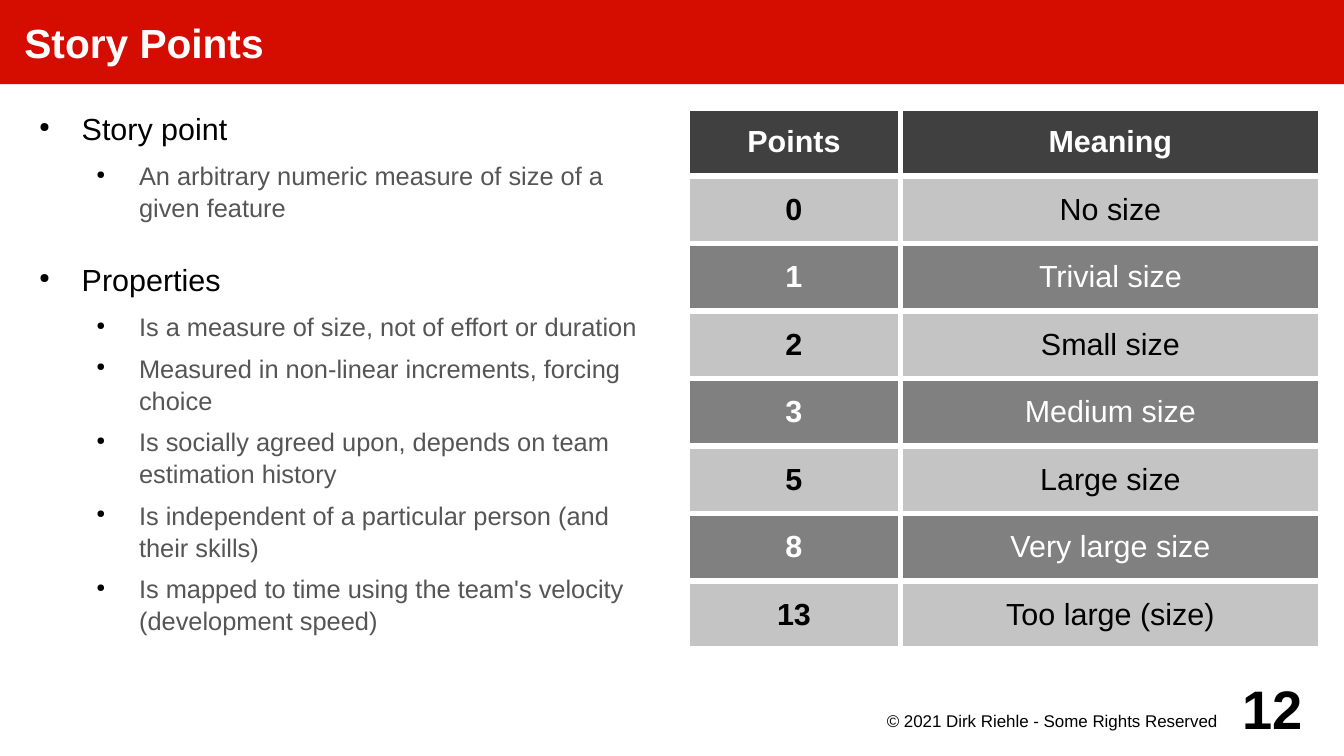
from lxml import etree
from pptx import Presentation
from pptx.dml.color import RGBColor
from pptx.enum.shapes import MSO_SHAPE
from pptx.enum.text import MSO_ANCHOR, PP_ALIGN
from pptx.oxml.ns import qn
from pptx.util import Inches, Pt

RECTANGLE = MSO_SHAPE.RECTANGLE
TOP, MIDDLE = MSO_ANCHOR.TOP, MSO_ANCHOR.MIDDLE
LEFT, CENTER = PP_ALIGN.LEFT, PP_ALIGN.CENTER

THEME = {
    "font": "Arial",
    "red": "D50D01", "white": "FFFFFF", "black": "000000", "text_gray": "555555",
    "header": "404040", "light_row": "C4C4C4", "dark_row": "808080",
    "title": 24, "topic": 18, "detail": 15, "table": 18, "footer": 10, "number": 32,
}


def style_paragraph(paragraph, size, color, bold=False, alignment=LEFT):
    paragraph.alignment = alignment
    paragraph.font.name = THEME["font"]
    paragraph.font.size = Pt(THEME[size])
    paragraph.font.bold = bold
    paragraph.font.color.rgb = RGBColor.from_string(THEME[color])


def set_frame(frame, anchor, left=0, top=0, right=0):
    frame.word_wrap = True
    frame.vertical_anchor = anchor
    frame.margin_left, frame.margin_top = Inches(left), Inches(top)
    frame.margin_right, frame.margin_bottom = Inches(right), Inches(0)


presentation = Presentation()
presentation.slide_width, presentation.slide_height = Inches(11.02), Inches(6.2)
slide = presentation.slides.add_slide(presentation.slide_layouts[6])

# Title bar
title = slide.shapes.add_shape(RECTANGLE, 0, 0, presentation.slide_width, Inches(0.69))
title.shadow.inherit = False
title.fill.solid()
title.fill.fore_color.rgb = RGBColor.from_string(THEME["red"])
title.line.fill.background()
set_frame(title.text_frame, MIDDLE, left=0.2)
title.text_frame.text = "Story Points"
style_paragraph(title.text_frame.paragraphs[0], "title", "white", bold=True)

# Bulleted outline: level and text
outline = [
    (0, "Story point"),
    (1, "An arbitrary numeric measure of size of a given feature"),
    (0, "Properties"),
    (1, "Is a measure of size, not of effort or duration"),
    (1, "Measured in non-linear increments, forcing choice"),
    (1, "Is socially agreed upon, depends on team estimation history"),
    (1, "Is independent of a particular person (and their skills)"),
    (1, "Is mapped to time using the team's velocity (development speed)"),
]
levels = [("topic", "black", 4.2), ("detail", "text_gray", 2.8)]
SECTION_GAP = 19

body = slide.shapes.add_textbox(Inches(0.2), Inches(0.89), Inches(5.19), Inches(4.53))
set_frame(body.text_frame, TOP)
for index, (level, text) in enumerate(outline):
    size, color, spacing = levels[level]
    paragraph = body.text_frame.paragraphs[0] if index == 0 else body.text_frame.add_paragraph()
    paragraph.text = text
    paragraph.level = level
    paragraph.line_spacing = 1.05
    paragraph.space_after = Pt(spacing)
    if index > 0:
        paragraph.space_before = Pt(SECTION_GAP if level == 0 else spacing)
    properties = paragraph._p.get_or_add_pPr()
    properties.set("marL", str(Inches(0.47 * (level + 1))))
    properties.set("indent", str(Inches(-0.35)))
    bullet_color = etree.SubElement(properties, qn("a:buClr"))
    etree.SubElement(bullet_color, qn("a:srgbClr"), val=THEME["black"])
    etree.SubElement(properties, qn("a:buSzPct"), val="45000")
    etree.SubElement(properties, qn("a:buChar"), char="●")
    style_paragraph(paragraph, size, color)

# Table of points
rows = [
    ("Points", "Meaning"),
    ("0", "No size"),
    ("1", "Trivial size"),
    ("2", "Small size"),
    ("3", "Medium size"),
    ("5", "Large size"),
    ("8", "Very large size"),
    ("13", "Too large (size)"),
]
table = slide.shapes.add_table(
    len(rows), 2, Inches(5.64), Inches(0.89), Inches(5.19), Inches(4.43)).table
table.columns[0].width, table.columns[1].width = Inches(1.74), Inches(3.45)
for row_index, row in enumerate(rows):
    if row_index == 0:
        fill, color = "header", "white"
    elif row_index % 2:
        fill, color = "light_row", "black"
    else:
        fill, color = "dark_row", "white"
    for column_index, text in enumerate(row):
        cell = table.cell(row_index, column_index)
        cell.text = text
        cell.vertical_anchor = MIDDLE
        cell.margin_left = cell.margin_right = Inches(0.08)
        cell.margin_top = cell.margin_bottom = Inches(0.05)
        bold = row_index == 0 or column_index == 0
        style_paragraph(cell.text_frame.paragraphs[0], "table", color, bold, CENTER)
        cell_properties = cell._tc.get_or_add_tcPr()
        for side in ("lnL", "lnR", "lnT", "lnB"):
            border = etree.SubElement(cell_properties, qn("a:" + side), w=str(Pt(3.4)))
            border_fill = etree.SubElement(border, qn("a:solidFill"))
            etree.SubElement(border_fill, qn("a:srgbClr"), val=THEME["white"])
        cell.fill.solid()
        cell.fill.fore_color.rgb = RGBColor.from_string(THEME[fill])

# Copyright line
footer = slide.shapes.add_textbox(Inches(7.09), Inches(5.81), Inches(3.15), Inches(0.3))
set_frame(footer.text_frame, TOP, top=0.02, right=0.08)
footer.text_frame.text = "© 2021 Dirk Riehle - Some Rights Reserved"
style_paragraph(footer.text_frame.paragraphs[0], "footer", "black", alignment=CENTER)

# Slide number
number = slide.shapes.add_textbox(Inches(10.04), Inches(5.51), Inches(0.79), Inches(0.59))
set_frame(number.text_frame, MIDDLE)
number.text_frame.text = "12"
style_paragraph(number.text_frame.paragraphs[0], "number", "black", True, CENTER)

presentation.save("out.pptx")
